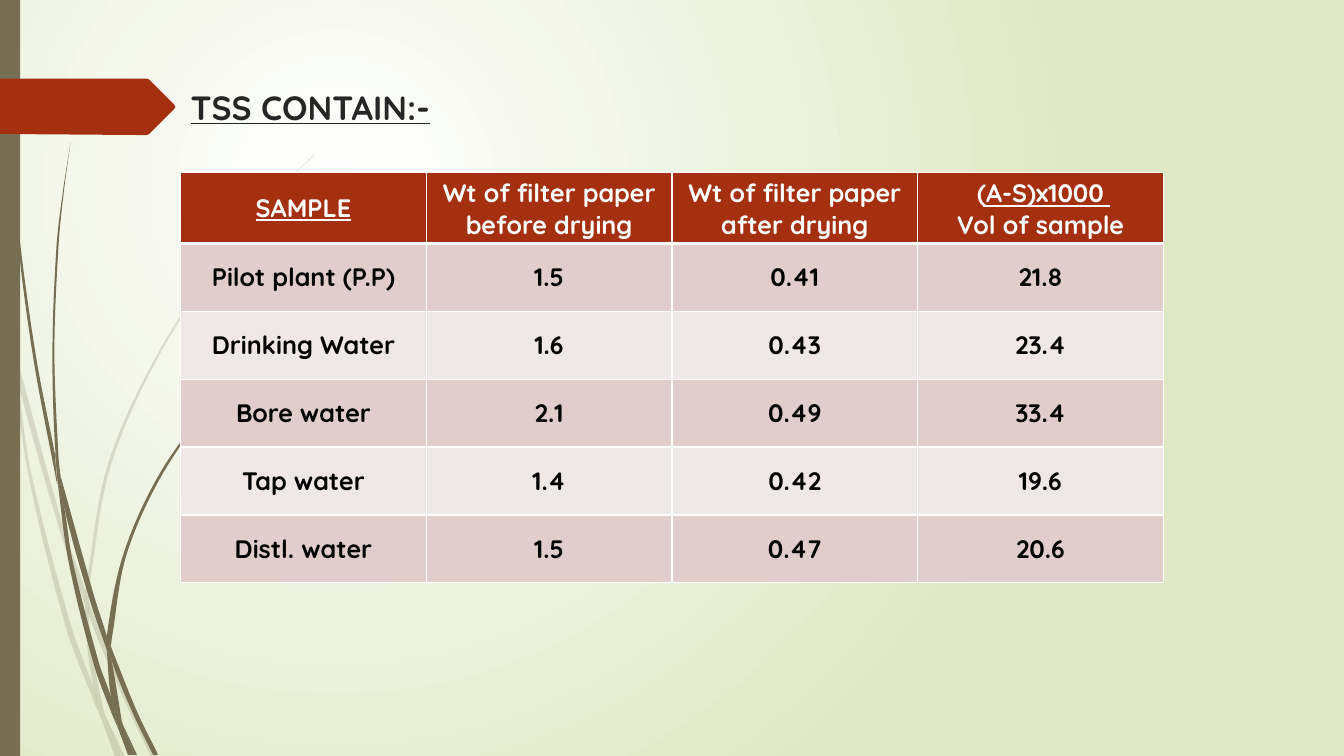
"""Build the TSS results slide with its wisp backdrop and table."""
from dataclasses import dataclass

from pptx import Presentation, util as u
from pptx.dml.color import RGBColor
from pptx.enum import dml, shapes, text
from pptx.oxml import parse_xml
from pptx.oxml.ns import nsdecls, qn

Points = list[tuple[float, float]]
COLORS = {"white": "FFFFFF", "green": "DFE8C4", "olive": "766F54", "rust": "A53010",
          "ink": "262626", "black": "000000", "rose": "E1CDCC", "blush": "F0E8E7"}
UNIT = 0.72
FONT = "Quicksand"
ROWS = [
    ("SAMPLE", "Wt of filter paper before drying", "Wt of filter paper after drying",
     "(A-S)x1000\nVol of sample"),
    ("Pilot plant (P.P)", "1.5", "0.41", "21.8"),
    ("Drinking Water", "1.6", "0.43", "23.4"),
    ("Bore water", "2.1", "0.49", "33.4"),
    ("Tap water", "1.4", "0.42", "19.6"),
    ("Distl. water", "1.5", "0.47", "20.6"),
]


@dataclass
class Blade:
    down: Points
    back: Points


PALE = [
    Blade([(11, 350), (9, 322), (0, 282)], [(0, 299), (10, 344), (11, 350)]),
    Blade([(14, 345), (17, 376), (58, 522), (84, 599)], [(85, 586), (62, 520), (14, 345)]),
    Blade([(88, 596), (88, 610), (123, 694), (150, 751)],
          [(155, 751), (127, 692), (92, 607), (88, 596)]),
    Blade([(119, 751), (124, 751)], [(105, 711), (119, 751)]),
    Blade([(11, 350), (28, 470), (65, 621), (92, 693), (101, 714)],
          [(99, 707), (93, 683), (70, 619), (31, 469), (17, 376), (11, 350)]),
    Blade([(84, 599), (87, 646), (93, 683), (96, 692), (105, 711)],
          [(103, 706), (91, 646), (88, 610), (88, 608), (84, 599)]),
    Blade([(312, 153), (289, 175), (268, 197), (228, 244), (158, 348), (107, 461),
           (85, 584), (85, 586), (88, 596)],
          [(88, 584), (110, 462), (160, 349), (229, 245), (268, 198), (290, 175),
           (312, 154)]),
    Blade([(101, 714), (114, 751)], [(119, 751), (101, 714)]),
    Blade([(88, 608), (88, 610), (88, 596)], [(85, 586), (84, 599), (88, 608)]),
    Blade([(93, 683), (99, 707), (101, 714), (119, 751)],
          [(119, 751), (105, 711), (96, 692), (93, 683)]),
]
DARK = [
    Blade([(3, 0), (4, 48), (7, 110), (17, 233), (33, 355), (56, 477), (57, 481)],
          [(55, 457), (55, 453), (36, 355), (19, 232), (8, 109), (5, 48), (4, 0)]),
    Blade([(60, 472), (64, 505), (88, 592), (106, 645)],
          [(106, 633), (106, 631), (93, 590), (60, 472)]),
    Blade([(110, 641), (111, 656), (132, 708), (152, 749)],
          [(157, 749), (136, 706), (113, 649), (110, 641)]),
    Blade([(57, 477), (68, 557), (93, 659), (111, 708), (117, 722)],
          [(116, 717), (110, 691), (98, 657), (72, 556), (64, 505), (57, 477)]),
    Blade([(70, 141), (62, 193), (56, 245), (52, 349), (55, 449), (60, 472)],
          [(60, 472), (58, 453), (54, 349), (58, 245), (63, 193), (70, 141)]),
    Blade([(133, 749), (136, 749)], [(122, 719), (133, 749)]),
    Blade([(57, 477), (64, 505)], [(60, 472), (55, 449), (55, 453), (57, 477)]),
    Blade([(260, 344), (245, 358), (231, 373), (204, 405), (156, 474), (122, 551),
           (106, 631), (110, 641)],
          [(111, 633), (125, 552), (158, 476), (205, 406), (231, 374), (245, 359),
           (261, 344)]),
    Blade([(117, 722), (127, 749)], [(131, 749), (117, 722)]),
    Blade([(106, 645), (110, 691), (116, 706), (122, 719)],
          [(121, 716), (111, 656), (109, 651), (106, 645)]),
    Blade([(106, 645), (109, 651), (111, 656)], [(110, 641), (106, 631), (106, 645)]),
    Blade([(110, 691), (116, 717), (117, 722), (130, 749)],
          [(133, 749), (122, 719), (116, 706), (110, 691)]),
]
ARROW = [(173, 108), (148, 133), (146, 134), (136, 134), (0, 133), (0, 78), (136, 78),
         (146, 78), (148, 79), (173, 104), (174, 106)]


def rgb(name: str) -> RGBColor:
    return RGBColor.from_string(COLORS[name])


def gap(p: tuple, q: tuple) -> float:
    return max(((p[0] - q[0]) ** 2 + (p[1] - q[1]) ** 2) ** 0.5, 0.1)


def curve(pts: Points) -> Points:
    """Return the Bezier controls and ends that run smoothly through pts."""
    slopes = []
    for i in range(len(pts)):
        a, c = pts[max(i - 1, 0)], pts[min(i + 1, len(pts) - 1)]
        run = gap(a, pts[i]) * (i > 0) + gap(pts[i], c) * (i < len(pts) - 1)
        slopes.append(((c[0] - a[0]) / run, (c[1] - a[1]) / run))
    out = []
    for p, q, m, n in zip(pts, pts[1:], slopes, slopes[1:]):
        h = gap(p, q) / 3
        out += [(p[0] + h * m[0], p[1] + h * m[1]), (q[0] - h * n[0], q[1] - h * n[1]), q]
    return out


def paint(sp, color: str, opacity: int = 100) -> None:
    sp.shadow.inherit = False
    sp.fill.solid()
    sp.fill.fore_color.rgb = rgb(color)
    sp.line.fill.background()
    if opacity < 100:
        clr = sp.fill._xPr.find(".//" + qn("a:srgbClr"))
        clr.append(parse_xml(f'<a:alpha {nsdecls("a")} val="{opacity * 1000}"/>'))


def outline(tree, pts: Points, color: str, opacity: int = 100):
    emu = [(u.Pt(x * UNIT), u.Pt(y * UNIT)) for x, y in pts]
    fb = tree.build_freeform(*emu[0], scale=1.0)
    fb.add_line_segments(emu[1:], close=True)
    sp = fb.convert_to_shape()
    paint(sp, color, opacity)
    return sp


def draw_blade(tree, blade: Blade, opacity: int) -> None:
    pts = [blade.down[0], *curve(blade.down), *curve([blade.down[-1], blade.back[0]]),
           *curve(blade.back)]
    sp = outline(tree, pts, "olive", opacity)
    lines = sp._element.findall(".//" + qn("a:lnTo"))
    for trio in zip(lines[::3], lines[1::3], lines[2::3]):
        bez = parse_xml(f'<a:cubicBezTo {nsdecls("a")}/>')
        trio[0].addprevious(bez)
        for ln in trio:
            bez.append(ln[0])
            ln.getparent().remove(ln)


def write(p, words: str, color: str, **fmt) -> None:
    r = p.add_run()
    r.text = words
    for key, value in {"name": FONT, "bold": True, **fmt}.items():
        setattr(r.font, key, value)
    r.font.color.rgb = rgb(color)


def backdrop(s) -> None:
    fill = s.background.fill
    fill.gradient()
    for stop, color, pos in zip(fill.gradient_stops, ("white", "green"), (0, 1)):
        stop.color.rgb = rgb(color)
        stop.position = pos
    lin = s._element.find(".//" + qn("a:lin"))
    lin.getparent().replace(lin, parse_xml(
        f'<a:path {nsdecls("a")} path="circle">'
        '<a:fillToRect l="50000" t="50000" r="100000" b="100000"/></a:path>'))
    for blades, opacity in ((PALE, 20), (DARK, 100)):
        grp = s.shapes.add_group_shape()
        for blade in blades:
            draw_blade(grp.shapes, blade, opacity)
    bar = s.shapes.add_shape(shapes.MSO_SHAPE.RECTANGLE, 0, 0, u.Pt(14.4), u.Pt(540))
    paint(bar, "olive")
    outline(s.shapes, ARROW, "rust")


def border(cell, row: int) -> None:
    widths = {"lnL": 1, "lnR": 1, "lnT": 3 if row == 1 else 1, "lnB": 3 if row == 0 else 1}
    for tag, width in widths.items():
        cell._tc.get_or_add_tcPr().append(parse_xml(
            f'<a:{tag} {nsdecls("a")} w="{u.Pt(width)}"><a:solidFill>'
            f'<a:srgbClr val="{COLORS["white"]}"/></a:solidFill></a:{tag}>'))


def results(s) -> None:
    tbl = s.shapes.add_table(len(ROWS), len(ROWS[0]), u.Pt(129), u.Pt(123.3),
                             u.Pt(702), u.Pt(293.1)).table
    for i, row in enumerate(ROWS):
        tbl.rows[i].height = u.Pt(48.5 if i else 50.6)
        for j, words in enumerate(row):
            cell = tbl.cell(i, j)
            border(cell, i)
            cell.fill.solid()
            cell.fill.fore_color.rgb = rgb("rust" if i == 0 else "rose" if i % 2 else "blush")
            cell.vertical_anchor = text.MSO_ANCHOR.MIDDLE
            tf = cell.text_frame
            for n, line in enumerate(words.split("\n")):
                p = tf.add_paragraph() if n else tf.paragraphs[0]
                p.alignment = text.PP_ALIGN.CENTER
                write(p, line, "black" if i else "white", size=u.Pt(18),
                      underline=i == j == 0)


def main() -> None:
    prs = Presentation()
    prs.slide_width, prs.slide_height = u.Pt(960), u.Pt(540)
    s = prs.slides.add_slide(prs.slide_layouts[6])
    backdrop(s)
    tf = s.shapes.add_textbox(u.Pt(129), u.Pt(58.3), u.Pt(702), u.Pt(48.2)).text_frame
    tf.word_wrap = True
    write(tf.paragraphs[0], "TSS CONTAIN:-", "ink", size=u.Pt(24), underline=True)
    results(s)
    rule = s.shapes.add_connector(shapes.MSO_CONNECTOR.STRAIGHT, u.Pt(702), u.Pt(146.9),
                                  u.Pt(792.7), u.Pt(146.9))
    for key, value in {"width": u.Pt(1.25), "dash_style": dml.MSO_LINE.SOLID}.items():
        setattr(rule.line, key, value)
    rule.line.color.rgb = rgb("white")
    rule._element.spPr.append(parse_xml(f'<a:effectLst {nsdecls("a")}/>'))
    prs.save("out.pptx")


if __name__ == "__main__":
    main()
